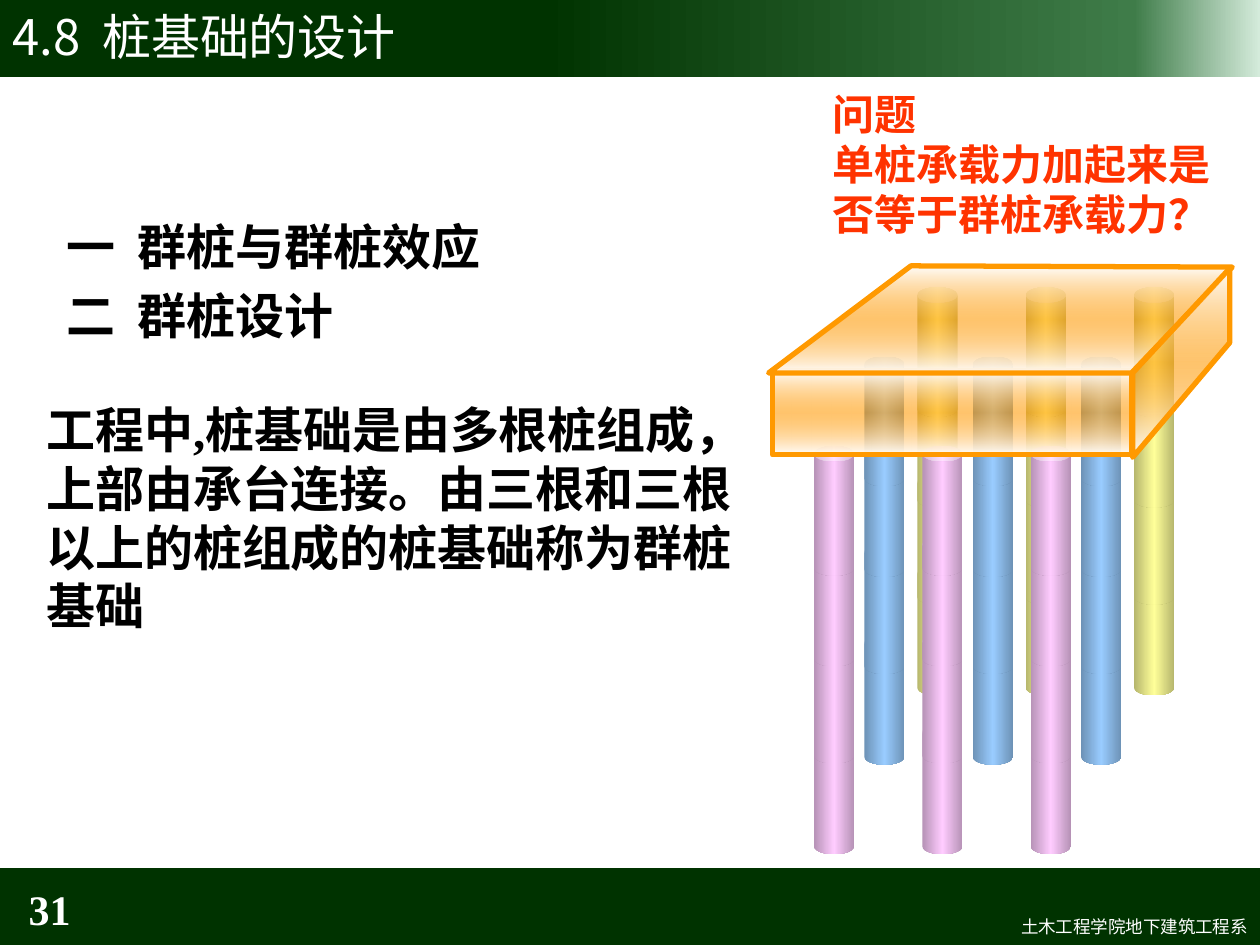
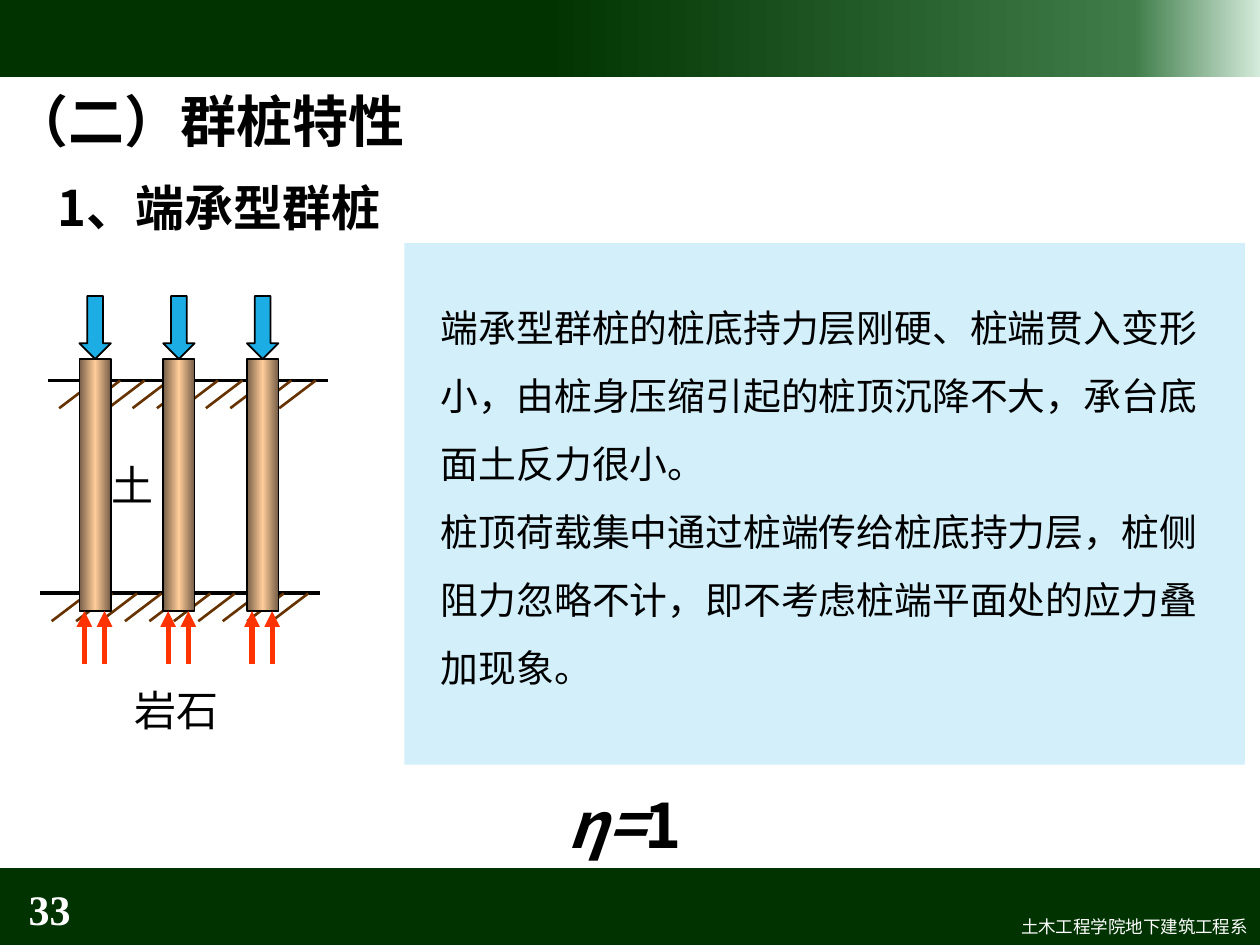
import dataclasses
import typing

import pptx
import pptx.dml.color
import pptx.enum.shapes
import pptx.enum.text
import pptx.oxml.ns
import pptx.util
from lxml import etree

Inches = pptx.util.Inches
Pt = pptx.util.Pt
qn = pptx.oxml.ns.qn
ShapeKind = pptx.enum.shapes.MSO_SHAPE
Anchor = pptx.enum.text.MSO_ANCHOR
Align = pptx.enum.text.PP_ALIGN


class Stop(typing.NamedTuple):
    percent: int
    color: str
    opacity: int = 100


Stops = tuple[Stop, ...]
Point = tuple[float, float]


def sheen(edge: str, middle: str, opacity: int = 100) -> Stops:
    """A gradient with the same colour at both edges."""
    return Stop(0, edge), Stop(50, middle, opacity), Stop(100, edge)


@dataclasses.dataclass(frozen=True)
class Theme:
    sans: str = "Noto Sans CJK SC"
    serif: str = "Times New Roman"
    white: str = "FFFFFF"
    black: str = "000000"
    green: str = "003300"
    red: str = "FF3300"
    orange: str = "FF9900"
    soil: str = "663300"
    load: str = "1CADE4"
    panel: str = "D2EFFA"
    band: Stops = (Stop(43, "003300"), Stop(90, "3F7C49"), Stop(100, "D4EBDB"))
    blue_pile: Stops = sheen("6D92B6", "99CCFF")
    yellow_pile: Stops = sheen("B6B66D", "FFFF99")
    pink_pile: Stops = sheen("B692B6", "FFCCFF")
    brown_pile: Stops = sheen("765E47", "FFCC99")
    cap: Stops = sheen("FFFFFF", "FF9900", 57)
    footer: float = 10
    reading: float = 21.6
    label: float = 24
    heading: float = 28
    section: float = 32
    formula: float = 36


THEME = Theme()


class Box(typing.NamedTuple):
    left: float
    top: float
    width: float
    height: float

    def lengths(self) -> list[pptx.util.Length]:
        return [Inches(value) for value in self]


@dataclasses.dataclass(frozen=True)
class Style:
    size: float
    font: str = THEME.sans
    color: str = THEME.black
    bold: bool = False
    align: typing.Optional[Align] = None
    anchor: Anchor = Anchor.TOP
    wrap: bool = True
    space_before: float = 0
    line_spacing: typing.Any = None


class PileRow(typing.NamedTuple):
    left: float
    top: float
    stops: Stops


class Ground(typing.NamedTuple):
    left: float
    top: float


def rgb(color: str) -> pptx.dml.color.RGBColor:
    return pptx.dml.color.RGBColor.from_string(color)


# Drawing helpers

def set_gradient(shape, stops: Stops, angle: int) -> None:
    shape.fill.gradient()
    gradient = shape._element.spPr.find(qn("a:gradFill"))
    stop_list = gradient.find(qn("a:gsLst"))
    for old_stop in list(stop_list):
        stop_list.remove(old_stop)
    for stop in stops:
        node = etree.SubElement(stop_list, qn("a:gs"), pos=str(stop.percent * 1000))
        color = etree.SubElement(node, qn("a:srgbClr"), val=stop.color)
        if stop.opacity < 100:
            etree.SubElement(color, qn("a:alpha"), val=str(stop.opacity * 1000))
    gradient.find(qn("a:lin")).set("ang", str(angle * 60000))


def paint(shape, fill: str | Stops, line: str = "", weight: float = 1,
          angle: int = 0) -> None:
    shape.shadow.inherit = False
    if isinstance(fill, str):
        shape.fill.solid()
        shape.fill.fore_color.rgb = rgb(fill)
    else:
        set_gradient(shape, fill, angle)
    if line:
        shape.line.color.rgb = rgb(line)
        shape.line.width = Pt(weight)
    else:
        shape.line.fill.background()


def add_block(page, kind: ShapeKind, box: Box, fill: str | Stops, line: str = "",
              weight: float = 1, angle: int = 0):
    shape = page.shapes.add_shape(kind, *box.lengths())
    paint(shape, fill, line, weight, angle)
    return shape


def add_face(page, points: list[Point]) -> None:
    """One slanted face of the pile cap."""
    corners = [(Inches(x), Inches(y)) for x, y in points]
    builder = page.shapes.build_freeform(*corners[0], scale=1.0)
    builder.add_line_segments(corners[1:], close=True)
    paint(builder.convert_to_shape(), THEME.cap, THEME.orange, 3, angle=90)


def add_line(page, start: Point, end: Point, color: str, weight: float,
             arrow: bool = False) -> None:
    line = page.shapes.add_connector(
        pptx.enum.shapes.MSO_CONNECTOR.STRAIGHT,
        *[Inches(value) for value in start + end])
    line.line.color.rgb = rgb(color)
    line.line.width = Pt(weight)
    properties = line._element.spPr
    if arrow:
        etree.SubElement(properties.find(qn("a:ln")), qn("a:tailEnd"), type="triangle")
    etree.SubElement(properties, qn("a:effectLst"))


def add_text(page, box: Box, lines: list[str], style: Style):
    frame = page.shapes.add_textbox(*box.lengths()).text_frame
    frame.word_wrap = style.wrap
    frame.vertical_anchor = style.anchor
    for index, line in enumerate(lines):
        para = frame.add_paragraph() if index else frame.paragraphs[0]
        para.text = line
        para.alignment = style.align
        if style.line_spacing:
            para.line_spacing = style.line_spacing
        if index and style.space_before:
            para.space_before = Pt(style.space_before)
        para.font.name = style.font
        para.font.size = Pt(style.size)
        para.font.bold = style.bold
        para.font.color.rgb = rgb(style.color)
    return frame


# Bands, footer and page number on every slide

def add_page(deck, number: int, title: str = ""):
    page = deck.slides.add_slide(deck.slide_layouts[6])
    add_block(page, ShapeKind.RECTANGLE, Box(0, 0, 10, 0.61), THEME.band)
    add_block(page, ShapeKind.RECTANGLE, Box(0, 6.89, 10, 0.61), THEME.green)
    add_text(page, Box(4.21, 7.22, 5.79, 0.27), ["土木工程学院地下建筑工程系"],
             Style(THEME.footer, color=THEME.white, align=Align.RIGHT))
    add_text(page, Box(0, 7.01, 0.66, 0.4), [str(number)],
             Style(THEME.label, THEME.serif, THEME.white, bold=True,
                   align=Align.RIGHT, anchor=Anchor.MIDDLE))
    if title:
        add_text(page, Box(0, -0.03, 10, 0.63), [title],
                 Style(THEME.heading, color=THEME.white, anchor=Anchor.MIDDLE))
    return page


# Slide 31: pile group under a cap

PILE_ROWS = [
    PileRow(6.86, 2.83, THEME.blue_pile),
    PileRow(7.28, 2.28, THEME.yellow_pile),
    PileRow(6.46, 3.54, THEME.pink_pile),
]
PILE_PITCH = 0.86
SEGMENT_OFFSETS = [2.21, 1.49, 0.72, 0]


def add_pile_row(page, row: PileRow) -> None:
    for column in range(3):
        for offset in SEGMENT_OFFSETS:
            box = Box(row.left + column * PILE_PITCH, row.top + offset, 0.32, 1.03)
            segment = add_block(page, ShapeKind.CAN, box, row.stops)
            segment.adjustments[0] = 0.384


def build_pile_group(deck) -> None:
    page = add_page(deck, 31, "4.8  桩基础的设计")
    strong = Style(THEME.heading, THEME.serif, bold=True)
    add_text(page, Box(0.43, 1.67, 8.5, 1.53),
             ["一  群桩与群桩效应", "二  群桩设计"],
             dataclasses.replace(strong, space_before=5.6))
    add_text(page, Box(6.51, 0.65, 3.25, 1.3),
             ["问题", "单桩承载力加起来是否等于群桩承载力？"],
             dataclasses.replace(strong, size=THEME.label, color=THEME.red))
    add_text(page, Box(0.27, 3.12, 5.67, 1.99),
             ["工程中,桩基础是由多根桩组成，上部由承台连接。"
              "由三根和三根以上的桩组成的桩基础称为群桩基础"], strong)
    for row in PILE_ROWS:
        add_pile_row(page, row)
    # Cap: front, top and side
    add_block(page, ShapeKind.RECTANGLE, Box(6.13, 2.94, 2.85, 0.67),
              THEME.cap, THEME.orange, 3, angle=90)
    add_face(page, [(8.98, 2.96), (6.1, 2.96), (7.23, 2.11), (9.78, 2.12)])
    add_face(page, [(8.99, 3.63), (8.99, 2.96), (9.76, 2.13), (9.76, 2.72)])


# Slide 33: end-bearing piles

GROUNDS = [Ground(0.38, 3.02), Ground(0.32, 4.71)]
PILE_LEFTS = [0.63, 1.295, 1.96]


def add_ground(page, ground: Ground) -> None:
    left, top = ground
    add_line(page, (left, top), (left + 2.22, top), THEME.black, 2.25)
    for tick in range(10):
        x = left + 0.38 + tick * 0.194
        add_line(page, (x, top), (x - 0.29, top + 0.22), THEME.soil, 1.5)


def add_loaded_pile(page, left: float) -> None:
    add_block(page, ShapeKind.RECTANGLE, Box(left, 2.85, 0.25, 2),
              THEME.brown_pile, THEME.black)
    add_block(page, ShapeKind.DOWN_ARROW, Box(left, 2.35, 0.25, 0.5),
              THEME.load, THEME.black)
    for offset in (0.04, 0.2):
        x = left + offset
        add_line(page, (x, 5.27), (x, 4.85), THEME.red, 3, arrow=True)


def build_end_bearing(deck) -> None:
    page = add_page(deck, 33)
    add_block(page, ShapeKind.RECTANGLE, Box(3.21, 1.93, 6.67, 4.14), THEME.panel)
    add_text(page, Box(3.4, 2.19, 6.22, 4.02),
             ["端承型群桩的桩底持力层刚硬、桩端贯入变形小，"
              "由桩身压缩引起的桩顶沉降不大，承台底面土反力很小。",
              "桩顶荷载集中通过桩端传给桩底持力层，桩侧阻力忽略不计，"
              "即不考虑桩端平面处的应力叠加现象。"],
             Style(THEME.reading, line_spacing=1.5))
    for ground in GROUNDS:
        add_ground(page, ground)
    for left in PILE_LEFTS:
        add_loaded_pile(page, left)
    add_text(page, Box(0.97, 5.38, 1.17, 0.5), ["岩石"], Style(THEME.label))
    add_text(page, Box(0.79, 3.6, 1, 0.5), ["土"], Style(THEME.label))
    add_text(page, Box(0.36, 1.36, 4.17, 0.57), ["1、端承型群桩"],
             Style(THEME.heading, bold=True))
    add_text(page, Box(0, 0.64, 3.34, 0.64), ["（二）群桩特性"],
             Style(THEME.section, bold=True, wrap=False))
    # Group efficiency, with an upright digit
    formula = add_text(page, Box(4.41, 6.33, 1.24, 0.56), ["η="],
                       Style(THEME.formula, bold=True, line_spacing=Pt(33)))
    para = formula.paragraphs[0]
    para.runs[0].font.italic = True
    span = para.add_run()
    span.text = "1"


def main() -> None:
    deck = pptx.Presentation()
    deck.slide_width, deck.slide_height = Inches(10), Inches(7.5)
    build_pile_group(deck)
    build_end_bearing(deck)
    deck.save("out.pptx")


if __name__ == "__main__":
    main()
